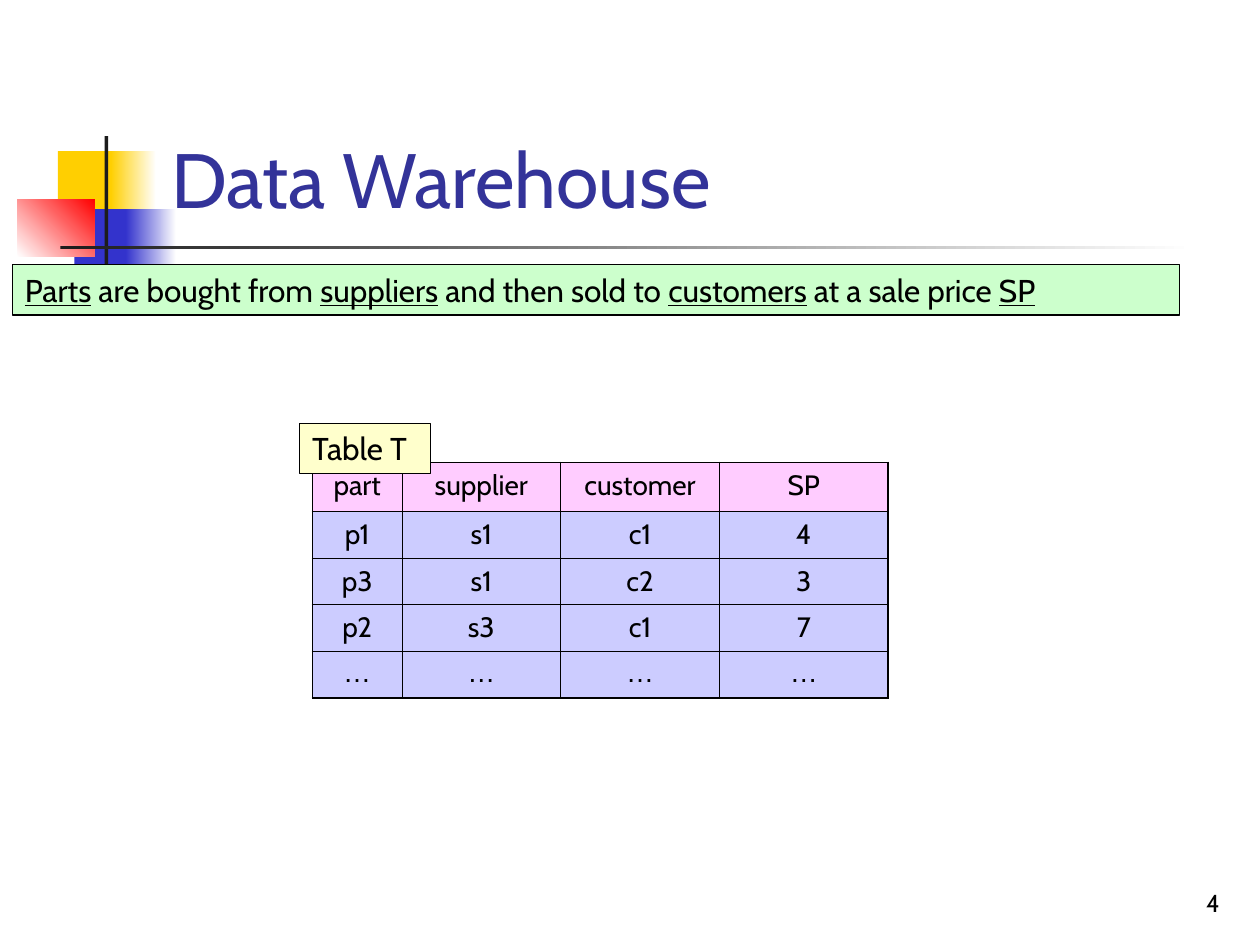
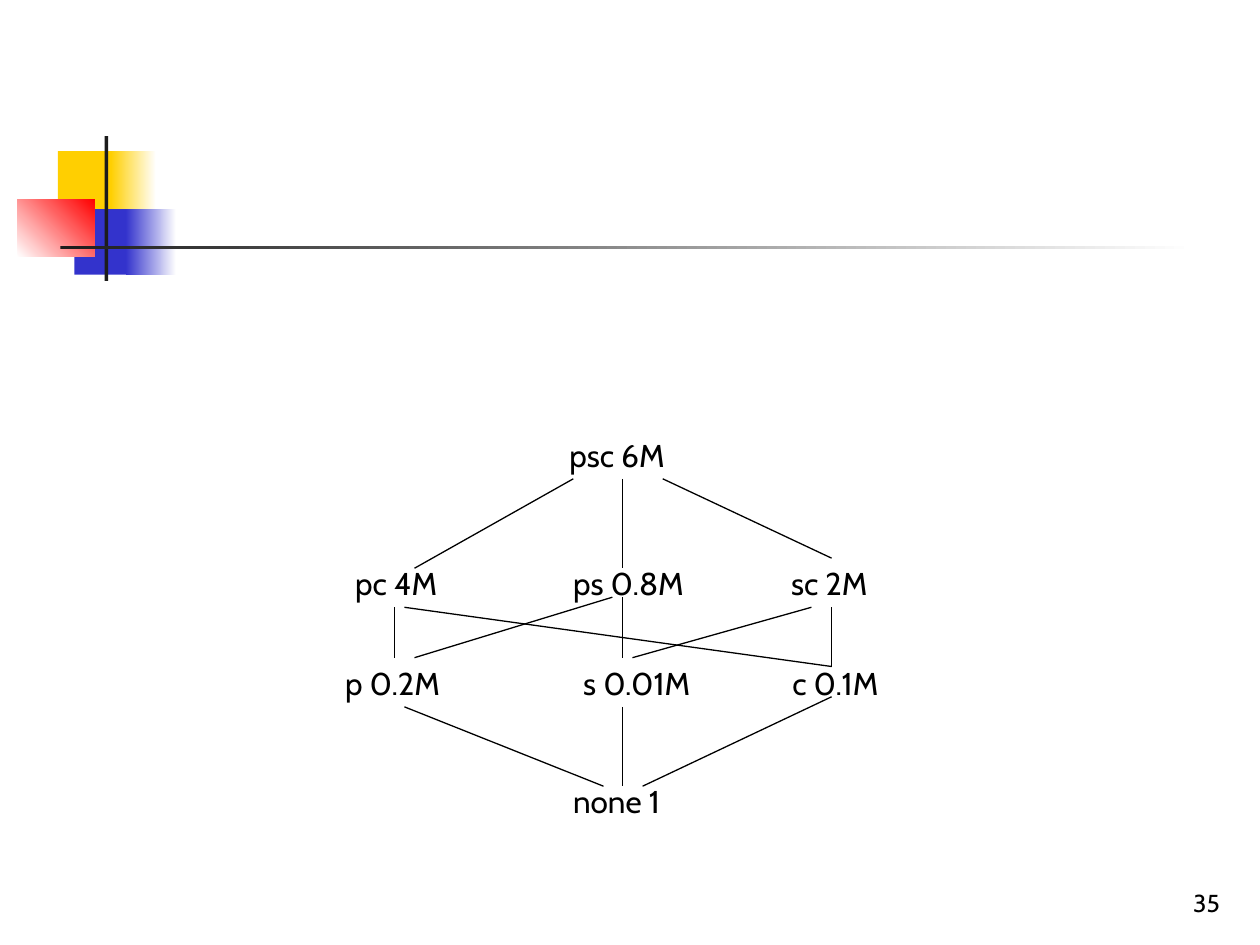
from pptx import Presentation
from pptx.dml.color import RGBColor
from pptx.enum.shapes import MSO_CONNECTOR, MSO_SHAPE
from pptx.enum.text import MSO_ANCHOR, MSO_AUTO_SIZE, PP_ALIGN
from pptx.oxml.ns import qn
from pptx.util import Inches, Pt
from lxml.etree import SubElement

WHITE, BLACK, INK = "FFFFFF", "000000", "1C1C1C"
YELLOW, BLUE, RED, TITLE_BLUE = "FFCF01", "3333CC", "FF0000", "333399"
GREEN_BOX, CREAM_BOX = "CCFFCC", "FFFFCC"
HEADER_PINK, BODY_LILAC = "FFCCFF", "CCCCFF"

LEFT_LINE, CENTRE_LINE, RIGHT_LINE = 3.13, 4.94, 6.6
LATTICE_ROWS = [
    (3.41, [("psc 6M", 4.42, 1.03)]),
    (4.43, [("pc 4M", 2.72, 0.91), ("ps 0.8M", 4.45, 1.12), ("sc 2M", 6.18, 0.87)]),
    (5.22, [("p 0.2M", 2.64, 1), ("s 0.01M", 4.53, 1.11), ("c 0.1M", 6.19, 0.96)]),
    (6.16, [("none 1", 4.45, 1.01)]),
]
LATTICE_EDGES = [
    (4.55, 3.8, 3.29, 4.51),
    (CENTRE_LINE, 3.8, CENTRE_LINE, 4.51),
    (5.26, 3.8, RIGHT_LINE, 4.43),
    (LEFT_LINE, 4.82, LEFT_LINE, 5.22),
    (4.86, 4.74, 3.29, 5.22),
    (CENTRE_LINE, 4.74, CENTRE_LINE, 5.22),
    (5.02, 5.22, 6.44, 4.82),
    (3.21, 4.82, RIGHT_LINE, 5.29),
    (RIGHT_LINE, 4.82, RIGHT_LINE, 5.29),
    (3.21, 5.61, 4.79, 6.24),
    (CENTRE_LINE, 5.61, CENTRE_LINE, 6.24),
    (RIGHT_LINE, 5.53, 5.1, 6.24),
]


def color(hex_string):
    return RGBColor.from_string(hex_string)


class Deck:
    font_name = "Cabin"
    line_width = 0.75

    def __init__(self):
        self.presentation = Presentation()
        self.presentation.slide_width = Inches(10)
        self.presentation.slide_height = Inches(7.5)
        self.slide = None

    def add_slide(self, number):
        self.slide = self.presentation.slides.add_slide(self.presentation.slide_layouts[6])
        self.emblem()
        self.text(str(number), 7.7, 6.83, 2.08, 0.5, size=14,
                  align=PP_ALIGN.RIGHT, anchor=MSO_ANCHOR.BOTTOM)

    def emblem(self):
        self.rectangle(0.46, 1.2, 0.48, 0.52, YELLOW)
        self.gradient(0.88, 1.2, 0.36, 0.52, YELLOW, WHITE)
        self.rectangle(0.59, 1.66, 0.46, 0.52, BLUE)
        self.gradient(1, 1.66, 0.4, 0.52, BLUE, WHITE)
        self.gradient(0.14, 1.58, 0.61, 0.46, WHITE, RED, angle=45)
        self.rectangle(0.83, 1.08, 0.03, 1.15, INK)
        self.gradient(0.48, 1.95, 9, 0.03, INK, WHITE)

    def rectangle(self, left, top, width, height, fill):
        shape = self.slide.shapes.add_shape(
            MSO_SHAPE.RECTANGLE, Inches(left), Inches(top), Inches(width), Inches(height))
        shape.shadow.inherit = False
        shape.fill.solid()
        shape.fill.fore_color.rgb = color(fill)
        shape.line.fill.background()
        return shape

    def gradient(self, left, top, width, height, start, end, angle=0):
        shape = self.rectangle(left, top, width, height, start)
        shape.fill.gradient()
        shape.fill.gradient_angle = angle
        for stop, stop_color in zip(shape.fill.gradient_stops, (start, end)):
            stop.color.rgb = color(stop_color)

    def style_run(self, run, size, text_color=BLACK, font_name=None):
        run.font.name = font_name or self.font_name
        run.font.size = Pt(size)
        run.font.color.rgb = color(text_color)

    def text(self, text, left, top, width, height, size=18, text_color=BLACK,
             align=PP_ALIGN.LEFT, anchor=MSO_ANCHOR.TOP):
        shape = self.slide.shapes.add_textbox(
            Inches(left), Inches(top), Inches(width), Inches(height))
        text_frame = shape.text_frame
        text_frame.text = text
        text_frame.word_wrap = True
        text_frame.vertical_anchor = anchor
        paragraph = text_frame.paragraphs[0]
        paragraph.alignment = align
        self.style_run(paragraph.runs[0], size, text_color)
        return shape

    def title(self, text):
        self.text(text, 1.26, 0.23, 8.52, 1.6, size=44, text_color=TITLE_BLUE,
                  anchor=MSO_ANCHOR.BOTTOM)

    def label(self, text, left, top, width):
        text_frame = self.text(text, left, top, width, 0.4).text_frame
        text_frame.word_wrap = False
        text_frame.auto_size = MSO_AUTO_SIZE.SHAPE_TO_FIT_TEXT

    def box(self, pieces, left, top, width, fill):
        shape = self.rectangle(left, top, width, 0.4, fill)
        shape.line.color.rgb = color(BLACK)
        shape.line.width = Pt(self.line_width)
        text_frame = shape.text_frame
        text_frame.word_wrap = False
        text_frame.auto_size = MSO_AUTO_SIZE.SHAPE_TO_FIT_TEXT
        text_frame.vertical_anchor = MSO_ANCHOR.TOP
        paragraph = text_frame.paragraphs[0]
        paragraph.alignment = PP_ALIGN.LEFT
        for piece, underlined in pieces:
            run = paragraph.add_run()
            run.text = piece
            self.style_run(run, 18)
            run.font.underline = underlined

    def line(self, from_x, from_y, to_x, to_y):
        connector = self.slide.shapes.add_connector(
            MSO_CONNECTOR.STRAIGHT, Inches(from_x), Inches(from_y), Inches(to_x), Inches(to_y))
        connector.line.color.rgb = color(BLACK)
        connector.line.width = Pt(self.line_width)
        SubElement(connector._element.spPr, qn("a:effectLst"))

    def cell_borders(self, cell, outer_edges):
        properties = cell._tc.get_or_add_tcPr()
        for edge in "LRTB":
            width = 1.08 if edge in outer_edges else 0.45
            border = SubElement(properties, qn(f"a:ln{edge}"), w=str(Pt(width)))
            fill = SubElement(border, qn("a:solidFill"))
            SubElement(fill, qn("a:srgbClr"), val=BLACK)

    def table(self, rows, left, top, widths, heights):
        table = self.slide.shapes.add_table(
            len(rows), len(widths), Inches(left), Inches(top),
            Inches(sum(widths)), Inches(sum(heights))).table
        for column, width in zip(table.columns, widths):
            column.width = Inches(width)
        last_row, last_column = len(rows) - 1, len(widths) - 1
        for row_index, (values, height) in enumerate(zip(rows, heights)):
            table.rows[row_index].height = Inches(height)
            for column_index, value in enumerate(values):
                cell = table.cell(row_index, column_index)
                sides = {"L": column_index == 0, "R": column_index == last_column,
                         "T": row_index == 0, "B": row_index == last_row}
                self.cell_borders(cell, [edge for edge, outer in sides.items() if outer])
                cell.fill.solid()
                cell.fill.fore_color.rgb = color(BODY_LILAC if row_index else HEADER_PINK)
                cell.text_frame.text = value
                paragraph = cell.text_frame.paragraphs[0]
                paragraph.alignment = PP_ALIGN.CENTER
                run = paragraph.runs[0]
                self.style_run(run, 16, font_name="Arial" if value == "…" else None)
                run.font.bold = False


def warehouse_slide(deck):
    deck.add_slide(4)
    deck.title("Data Warehouse")
    deck.box([("Parts", True), (" are bought from ", False), ("suppliers", True),
              (" and then sold to ", False), ("customers", True),
              (" at a sale price ", False), ("SP", True)], 0.1, 2.1, 9.26, GREEN_BOX)
    rows = [
        ["part", "supplier", "customer", "SP"],
        ["p1", "s1", "c1", "4"],
        ["p3", "s1", "c2", "3"],
        ["p2", "s3", "c1", "7"],
        ["…"] * 4,
    ]
    deck.table(rows, 2.48, 3.67, [0.71, 1.26, 1.26, 1.34], [0.39] + [0.37] * 4)
    deck.box([("Table T", False)], 2.38, 3.36, 1.04, CREAM_BOX)


def lattice_slide(deck):
    deck.add_slide(35)
    for top, nodes in LATTICE_ROWS:
        for text, left, width in nodes:
            deck.label(text, left, top, width)
    for edge in LATTICE_EDGES:
        deck.line(*edge)


def main():
    deck = Deck()
    warehouse_slide(deck)
    lattice_slide(deck)
    deck.presentation.save("out.pptx")


if __name__ == "__main__":
    main()
